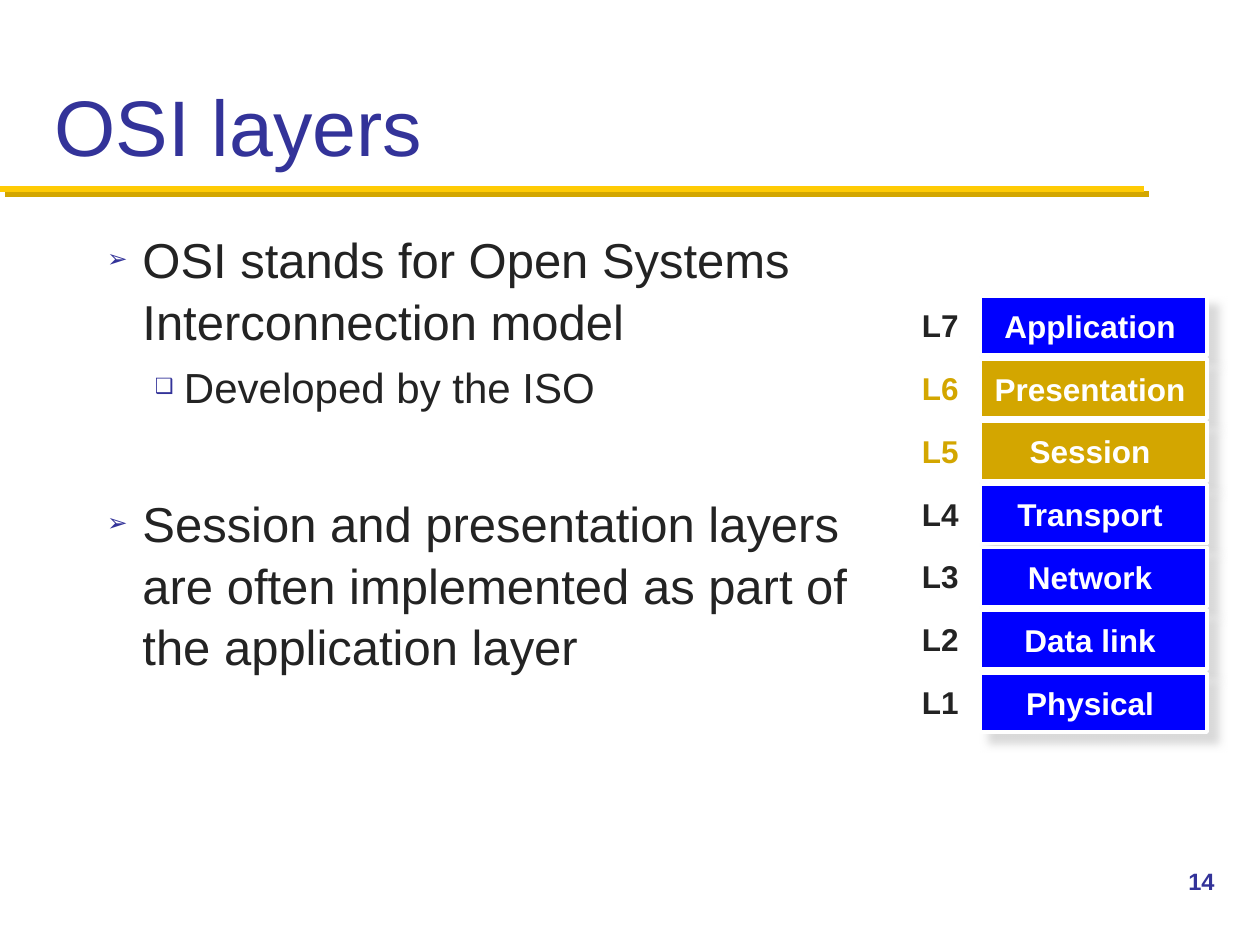
from lxml import etree
from pptx import Presentation
from pptx import util as u
from pptx.dml.color import RGBColor
from pptx.enum import shapes, text
from pptx.oxml.ns import qn

FONT = "Arial"
COLORS = {"title": "333399", "text": "232323", "rule": "FFCB05", "gold": "D3A600",
          "blue": "0000FF", "white": "FFFFFF", "shade": "CECECE"}
TITLE = "OSI layers"
PAGE_NUMBER = "14"
# text, size, bullet, left margin, hanging indent, space before
BULLETS = [
    ("OSI stands for Open Systems Interconnection model", 28, "➢", 20.2, 20.2, 5.6),
    ("Developed by the ISO", 24, "❑", 43.9, 16.6, 4.8),
    ("Session and presentation layers are often implemented as part of "
     "the application layer", 28, "➢", 20.2, 20.2, 45),
]
# label, name, label colour, box colour
LAYERS = [
    ("L7", "Application", "text", "blue"),
    ("L6", "Presentation", "gold", "gold"),
    ("L5", "Session", "gold", "gold"),
    ("L4", "Transport", "text", "blue"),
    ("L3", "Network", "text", "blue"),
    ("L2", "Data link", "text", "blue"),
    ("L1", "Physical", "text", "blue"),
]
STACK_TOP, STACK_PITCH = 169.2, 35.9
BOX_LEFT, BOX_WIDTH, BOX_HEIGHT = 560.2, 129.6, 33.8
LABEL_LEFT, LABEL_WIDTH, LABEL_HEIGHT = 519.8, 36, 29


def rgb(name):
    """Return the named colour."""
    return RGBColor.from_string(COLORS[name])


def place(shape, left, top, width, height):
    """Move and size a shape, in points."""
    shape.left, shape.top = u.Pt(left), u.Pt(top)
    shape.width, shape.height = u.Pt(width), u.Pt(height)


def add_text(para, words, size=18, color="text", bold=False, align=None):
    """Write one formatted run into a paragraph."""
    span = para.add_run()
    span.text = words
    span.font.name, span.font.size, span.font.bold = FONT, u.Pt(size), bold
    span.font.color.rgb = rgb(color)
    para.alignment = align


def set_frame(frame, anchor, wrap=True, insets=(7.2, 3.6, 7.2, 3.6)):
    """Set anchor, wrapping and insets of a text frame."""
    frame.auto_size = text.MSO_AUTO_SIZE.NONE
    frame.vertical_anchor, frame.word_wrap = anchor, wrap
    (frame.margin_left, frame.margin_top,
     frame.margin_right, frame.margin_bottom) = map(u.Pt, insets)


def add_shadow(shape, color, alpha, blur, distance):
    """Give a shape a shadow towards the lower right."""
    effects = etree.SubElement(shape._element.spPr, qn("a:effectLst"))
    shadow = etree.SubElement(effects, qn("a:outerShdw"), blurRad=str(u.Pt(blur)),
                              dist=str(u.Pt(distance)), dir="2700000",
                              algn="ctr", rotWithShape="0")
    tint = etree.SubElement(shadow, qn("a:srgbClr"), val=COLORS[color])
    etree.SubElement(tint, qn("a:alpha"), val=str(alpha * 1000))


def set_bullet(para, mark, margin, hanging):
    """Give a paragraph a half-size bullet and a hanging indent."""
    props = para._p.get_or_add_pPr()
    props.set("marL", str(u.Pt(margin)))
    props.set("indent", str(-u.Pt(hanging)))
    tint = etree.SubElement(props, qn("a:buClr"))
    etree.SubElement(tint, qn("a:srgbClr"), val=COLORS["title"])
    etree.SubElement(props, qn("a:buSzPct"), val="50000")
    etree.SubElement(props, qn("a:buFont"), typeface=FONT)
    etree.SubElement(props, qn("a:buChar"), char=mark)


def add_textbox(page, words, bounds, wrap=True, **style):
    """Add a text box holding one line."""
    box = page.shapes.add_textbox(*map(u.Pt, bounds))
    set_frame(box.text_frame, text.MSO_ANCHOR.TOP, wrap)
    add_text(box.text_frame.paragraphs[0], words, **style)


def add_rule(page):
    """Draw the line under the title."""
    rule = page.shapes.add_connector(shapes.MSO_CONNECTOR.STRAIGHT,
                                     0, u.Pt(108), u.Pt(653.8), u.Pt(108))
    rule.line.color.rgb, rule.line.width = rgb("rule"), u.Pt(3.5)
    add_shadow(rule, "gold", 100, 0, 4.2)


def add_bullets(body):
    """Fill the body placeholder."""
    frame = body.text_frame
    set_frame(frame, text.MSO_ANCHOR.TOP)
    for index, (words, size, mark, margin, hanging, before) in enumerate(BULLETS):
        para = frame.add_paragraph() if index else frame.paragraphs[0]
        para.level = int(size < 28)
        para.line_spacing, para.space_before = 1.05, u.Pt(before)
        set_bullet(para, mark, margin, hanging)
        add_text(para, words, size=size)


def add_layer(page, top, label, name, label_color, box_color):
    """Draw one layer of the stack with its label."""
    box = page.shapes.add_shape(shapes.MSO_SHAPE.RECTANGLE, *map(
        u.Pt, (BOX_LEFT, top, BOX_WIDTH, BOX_HEIGHT)))
    box.fill.solid()
    box.fill.fore_color.rgb = rgb(box_color)
    box.line.color.rgb, box.line.width = rgb("white"), u.Pt(2)
    add_shadow(box, "shade", 75, 5, 8)
    set_frame(box.text_frame, text.MSO_ANCHOR.MIDDLE, False, (2.9, 2.9, 7.2, 2.9))
    add_text(box.text_frame.paragraphs[0], name, color="white", bold=True,
             align=text.PP_ALIGN.CENTER)
    add_textbox(page, label, (LABEL_LEFT, top + 2.2, LABEL_WIDTH, LABEL_HEIGHT),
                wrap=False, color=label_color, bold=True)


def build():
    """Build and save the deck."""
    deck = Presentation()
    deck.slide_width, deck.slide_height = u.Pt(720), u.Pt(540)
    page = deck.slides.add_slide(deck.slide_layouts[1])
    title, body = page.placeholders
    add_rule(page)
    place(title, 24, 12, 672, 90)
    set_frame(title.text_frame, text.MSO_ANCHOR.BOTTOM)
    add_text(title.text_frame.paragraphs[0], TITLE, size=45, color="title",
             align=text.PP_ALIGN.LEFT)
    place(body, 54, 126, 445.7, 347.8)
    add_bullets(body)
    for index, layer in enumerate(LAYERS):
        add_layer(page, STACK_TOP + index * STACK_PITCH, *layer)
    add_textbox(page, PAGE_NUMBER, (672, 492, 48, 36), size=13.5,
                color="title", bold=True)
    deck.save("out.pptx")


build()
